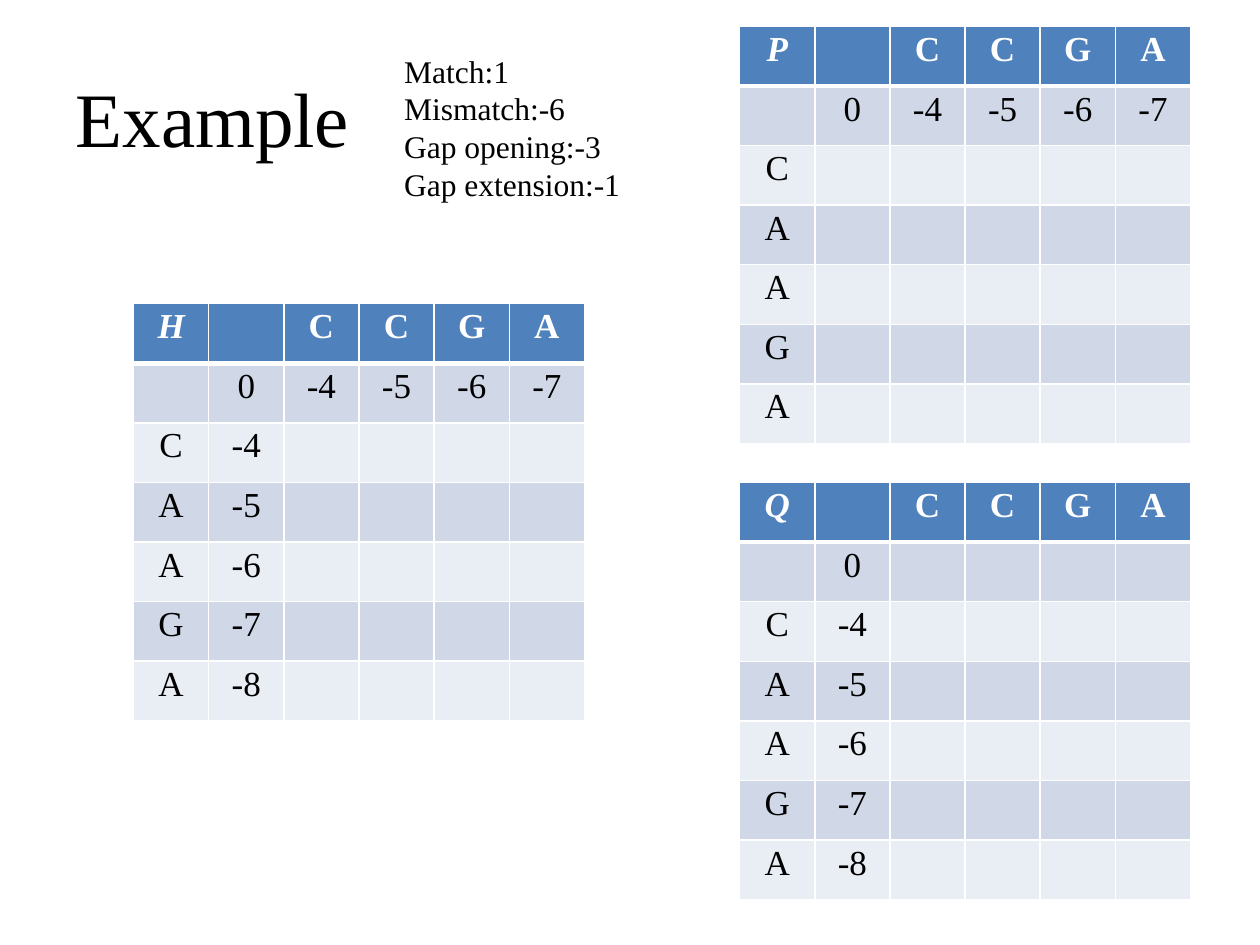
from lxml import etree
from pptx import Presentation
from pptx import util as u
from pptx.dml.color import RGBColor
from pptx.enum import text
from pptx.oxml.ns import qn

COLUMNS, ROWS = 100, 75  # layout grid of the slide
BASES_ACROSS, BASES_DOWN = "CCGA", "CAAGA"
GAPS_ACROSS = ["-4", "-5", "-6", "-7"]
GAPS_DOWN = ["-4", "-5", "-6", "-7", "-8"]


def colour(hex_string):
    return RGBColor.from_string(hex_string)


def write(paragraph, words, size=20, font="Times New Roman", ink="000000",
          bold=False, italic=False, align=text.PP_ALIGN.LEFT):
    paragraph.alignment = align
    run = paragraph.add_run()
    run.text = words
    run.font.size, run.font.name = u.Pt(size), font
    run.font.bold, run.font.italic = bold, italic
    run.font.color.rgb = colour(ink)


def add_borders(cell, hex_string, **widths):
    """Draw cell borders; widths in points, keyed L, R, T, B in that order."""
    properties = cell._tc.get_or_add_tcPr()
    for index, (side, width) in enumerate(widths.items()):
        line = etree.Element(qn(f"a:ln{side}"), w=str(u.Pt(width)))
        fill = etree.SubElement(line, qn("a:solidFill"))
        etree.SubElement(fill, qn("a:srgbClr"), val=hex_string)
        properties.insert(index, line)


class SlideBuilder:
    header, bands, white = "4F81BD", ("E9EDF4", "D0D8E8"), "FFFFFF"

    def __init__(self, presentation):
        self.slide = presentation.slides.add_slide(presentation.slide_layouts[5])
        self.column = presentation.slide_width / COLUMNS
        self.row = presentation.slide_height / ROWS

    def box(self, left, top, width, height):
        return (round(left * self.column), round(top * self.row),
                round(width * self.column), round(height * self.row))

    def title(self, words, *place):
        shape = self.slide.shapes.title
        shape.left, shape.top, shape.width, shape.height = self.box(*place)
        shape.text_frame.vertical_anchor = text.MSO_ANCHOR.MIDDLE
        write(shape.text_frame.paragraphs[0], words, size=44)

    def text_lines(self, lines, *place):
        frame = self.slide.shapes.add_textbox(*self.box(*place)).text_frame
        frame.word_wrap = False
        frame.auto_size = text.MSO_AUTO_SIZE.SHAPE_TO_FIT_TEXT
        for index, line in enumerate(lines):
            paragraph = frame.add_paragraph() if index else frame.paragraphs[0]
            write(paragraph, line, size=18)

    def matrix(self, name, left, top, across=("",) * 4, down=("",) * 5):
        """Alignment matrix with its first row and first column of scores."""
        rows = [[name, "", *BASES_ACROSS], ["", "0", *across]]
        rows += [[base, score, "", "", "", ""] for base, score in zip(BASES_DOWN, down)]
        place = self.box(left, top, 35.8, 33.1)
        table = self.slide.shapes.add_table(len(rows), len(rows[0]), *place).table
        for r, row in enumerate(rows):
            for c, words in enumerate(row):
                self.cell(table.cell(r, c), words, r, italic=(r == c == 0))

    def cell(self, cell, words, row, italic):
        is_header = row == 0
        cell.margin_left = cell.margin_right = u.Inches(0.06)
        cell.margin_top = cell.margin_bottom = u.Inches(0.03)
        cell.fill.solid()
        cell.fill.fore_color.rgb = colour(self.header if is_header else self.bands[row % 2])
        add_borders(cell, self.white, L=1, R=1, T=3 if row == 1 else 1, B=3 if is_header else 1)
        if words:
            write(cell.text_frame.paragraphs[0], words, bold=is_header, italic=italic,
                  ink=self.white if is_header else "000000", align=text.PP_ALIGN.CENTER)


def main():
    presentation = Presentation()
    presentation.slide_width, presentation.slide_height = u.Inches(10), u.Inches(7.5)
    builder = SlideBuilder(presentation)

    # Title and scoring scheme
    builder.title("Example", 5, 3, 90, 12.5)
    builder.text_lines(["Match:1", "Mismatch:-6", "Gap opening:-3", "Gap extension:-1"],
                       31.1, 3.6, 19.3, 13.1)

    # Score matrix H and gap matrices P and Q
    builder.matrix("H", 10.6, 24.1, across=GAPS_ACROSS, down=GAPS_DOWN)
    builder.matrix("P", 58.7, 2.1, across=GAPS_ACROSS)
    builder.matrix("Q", 58.7, 38.3, down=GAPS_DOWN)

    presentation.save("out.pptx")


if __name__ == "__main__":
    main()
